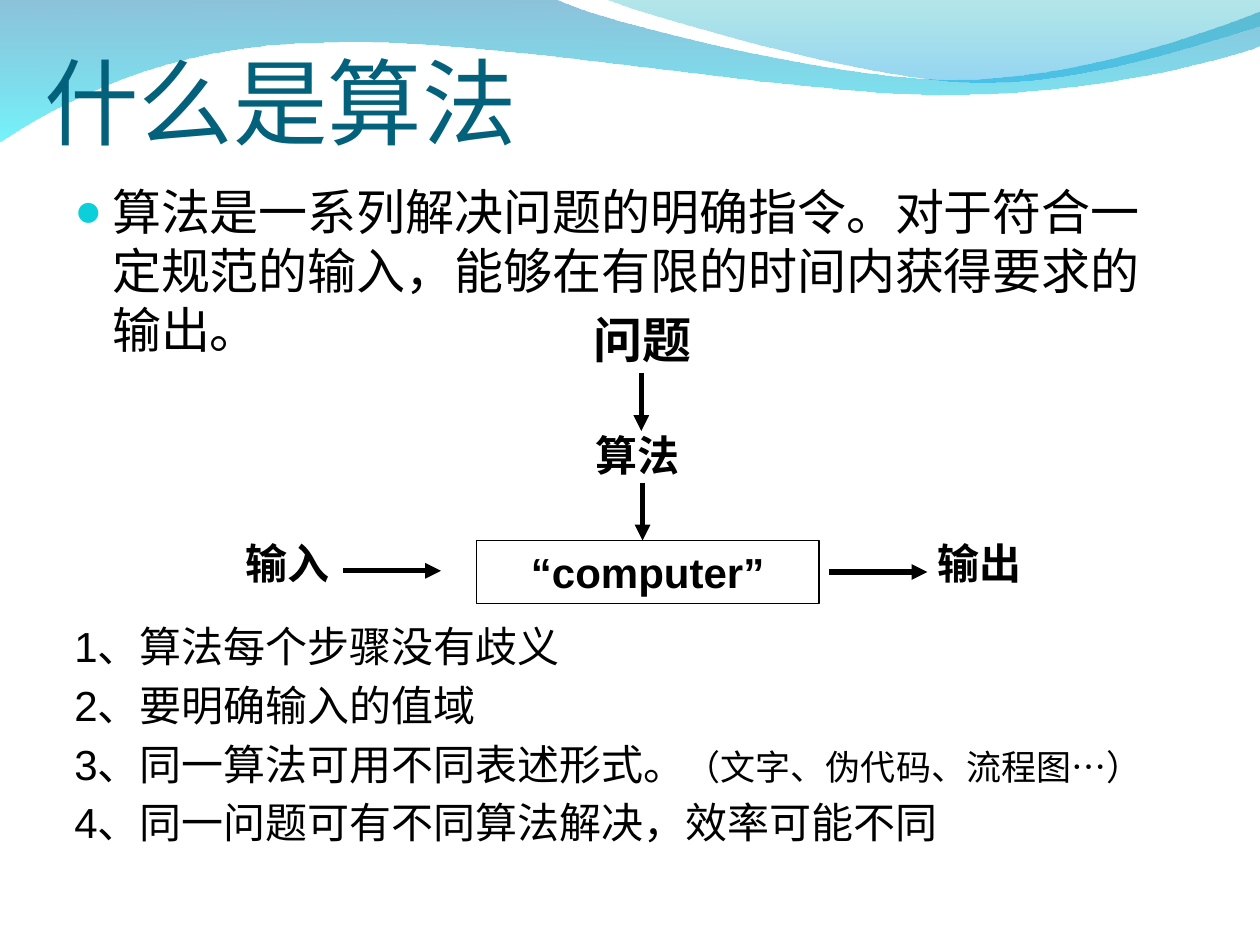
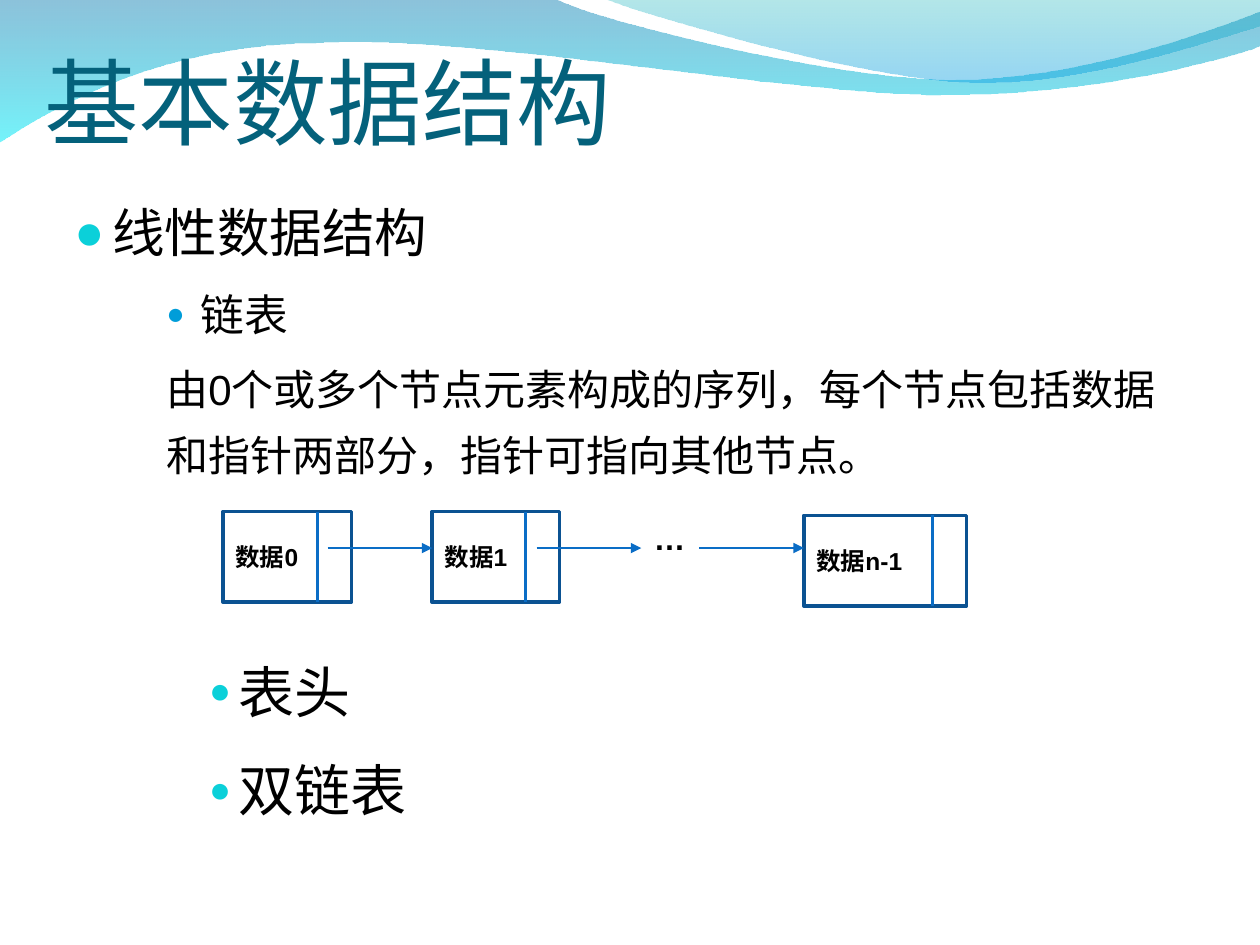
import pptx
import pptx.util
import pptx.dml.color
import pptx.enum.dml
import pptx.enum.shapes
import pptx.enum.text
import pptx.oxml.ns
from dataclasses import dataclass
from lxml import etree
from pptx.util import Inches, Pt


@dataclass(frozen=True)
class Theme:
    font: str = "Arial"
    title: str = "04617B"
    text: str = "000000"
    paper: str = "FFFFFF"
    bullet: str = "0BD0D9"
    sub_bullet: str = "009DD9"
    node_edge: str = "0B5292"
    link: str = "0A6DC6"
    title_size: int = 54
    item_size: int = 32
    topic_size: int = 30
    lead_size: int = 28
    subtopic_size: int = 25
    body_size: int = 24
    note_size: int = 20
    dots_size: int = 18
    node_size: int = 14


T = Theme()

# Start point, then segments: one point for a line, three for a curve.
# Gradient stops run from top to bottom as (colour, opacity %).
WAVES = [
    ((0, -0.01),
     [[(4.4, -0.01)],
      [(4.76, 0.17), (6.64, 0.63), (7.58, 0.63)],
      [(8.53, 0.63), (9.58, 0.26), (10, 0.09)],
      [(10.01, 0.36)],
      [(9.83, 0.44), (8.7, 0.76), (7.46, 0.75)],
      [(6.22, 0.75), (3.82, 0.28), (2.57, 0.34)],
      [(1.29, 0.35), (0.46, 0.83), (-0.01, 1.13)]],
     [("0079AF", 45), ("00EBF8", 55)]),
    ((4.79, -0.01),
     [[(5.09, 0.11), (6.82, 0.62), (7.69, 0.65)],
      [(8.56, 0.69), (9.61, 0.32), (10, 0.21)],
      [(10, 0)]],
     [("00ADB6", 30), ("009BE5", 42)]),
]

# Paragraphs: text or runs, size, and options
ALGORITHM_BODY = [
    ("算法是一系列解决问题的明确指令。对于符合一定规范的输入，能够在有限的时间内获得要求的输出。",
     T.lead_size, dict(bullet=(T.bullet, 95))),
    ("1、算法每个步骤没有歧义", T.body_size, dict(before=150)),
    ("2、要明确输入的值域", T.body_size, {}),
    ([("3、同一算法可用不同表述形式。", T.body_size), ("（文字、伪代码、流程图…）", T.note_size)],
     T.body_size, {}),
    ("4、同一问题可有不同算法解决，效率可能不同", T.body_size, {}),
]
FLOW_LABELS = [
    ("问题", 4.61, 2.41, 1.02, 0.57, T.lead_size),
    ("算法", 4.63, 3.36, 0.92, 0.5, T.body_size),
    ("输入", 1.85, 4.22, 0.89, 0.5, T.body_size),
    ("输出", 7.34, 4.22, 1.04, 0.5, T.body_size),
]
FLOW_ARROWS = [(5.09, 2.96, 5.09, 3.42), (5.1, 3.83, 5.1, 4.29),
               (2.72, 4.53, 3.5, 4.53), (6.58, 4.54, 7.36, 4.54)]

ITEM = dict(level=2, margin=1.3, indent=-0.23, bullet=(T.bullet, 65))
LIST_BODY = [
    ("线性数据结构", T.topic_size, dict(bullet=(T.bullet, 95))),
    ("链表", T.subtopic_size,
     dict(level=1, margin=1, indent=-0.27, bullet=(T.sub_bullet, 70))),
    ("由0个或多个节点元素构成的序列，每个节点包括数据和指针两部分，指针可指向其他节点。",
     T.body_size, dict(level=1, margin=0.73, indent=0)),
    ("表头", T.item_size, dict(ITEM, before=90)),
    ("双链表", T.item_size, ITEM),
]
NODES = [("数据0", 1.77, 4.06, 1.02), ("数据1", 3.43, 4.06, 1.01), ("数据n-1", 6.38, 4.09, 1.29)]
NODE_HEIGHT, POINTER_WIDTH = 0.72, 0.27
LINK_STARTS, LINK_LENGTH, LINK_Y = (2.6, 4.26, 5.55), 0.83, 4.35


def rgb(value):
    return pptx.dml.color.RGBColor.from_string(value)


def sub(parent, tag, **attrs):
    return etree.SubElement(parent, pptx.oxml.ns.qn(tag), attrs)


def style(font, size, color=T.text, bold=False):
    font.name, font.size, font.bold = T.font, Pt(size), bold
    font.color.rgb = rgb(color)


def place(sp, left, top, width, height):
    sp.left, sp.top, sp.width, sp.height = map(Inches, (left, top, width, height))


def bend(sp, segments):
    """Join the lines of each three-point segment into one Bezier curve."""
    lines = iter(sp._element.xpath(".//a:path/a:lnTo"))
    for segment in segments:
        group = [next(lines) for _ in segment]
        if len(group) == 3:
            curve = etree.Element(pptx.oxml.ns.qn("a:cubicBezTo"))
            group[0].addprevious(curve)
            for line in group:
                curve.append(line[0])
                line.getparent().remove(line)


def add_waves(prs, s):
    """Draw the top waves on a slide, then move them to the back of the master."""
    tree = prs.slide_master.shapes._spTree
    for index, (start, segments, stops) in enumerate(WAVES):
        builder = s.shapes.build_freeform(*map(Inches, start))
        builder.add_line_segments(
            [(Inches(x), Inches(y)) for segment in segments for x, y in segment], close=True)
        sp = builder.convert_to_shape()
        bend(sp, segments)
        sp.shadow.inherit = False
        sp.line.fill.background()
        sp.fill.gradient()
        sp.fill.gradient_angle = 270
        for stop, (color, opacity) in zip(sp.fill.gradient_stops, stops):
            stop.color.rgb = rgb(color)
            sub(stop._gs[0], "a:alpha", val=str(opacity * 1000))
        tree.insert(2 + index, sp._element)


def set_title(s, text):
    sp = s.shapes.title
    place(sp, 0.35, 0, 9, 1.25)
    tf = sp.text_frame
    tf.auto_size = pptx.enum.text.MSO_AUTO_SIZE.NONE
    tf.vertical_anchor = pptx.enum.text.MSO_ANCHOR.BOTTOM
    tf.margin_left = tf.margin_right = tf.margin_bottom = 0
    p = tf.paragraphs[0]
    p.text = text
    p.alignment = pptx.enum.text.PP_ALIGN.LEFT
    style(p.font, T.title_size, T.title)


def format_paragraph(p, size, line, level=0, margin=0.3, indent=-0.3, bullet=None, before=None):
    p.level = level
    pPr = p._p.get_or_add_pPr()
    pPr.set("marL", str(Inches(margin)))
    pPr.set("indent", str(Inches(indent)))
    if bullet:
        color, percent = bullet
        sub(sub(pPr, "a:buClr"), "a:srgbClr", val=color)
        sub(pPr, "a:buSzPct", val=str(percent * 1000))
        sub(pPr, "a:buChar", char="●")
    else:
        sub(pPr, "a:buNone")
    p.line_spacing = line
    p.space_before = Pt(0.2 * size if before is None else before)
    style(p.font, size)


def set_body(s, paragraphs, height, line=1.0):
    sp = s.placeholders[1]
    place(sp, 0.49, 1.39, 9, height)
    tf = sp.text_frame
    tf.auto_size = pptx.enum.text.MSO_AUTO_SIZE.NONE
    for i, (content, size, options) in enumerate(paragraphs):
        p = tf.add_paragraph() if i else tf.paragraphs[0]
        first = {} if i else {"before": 0}
        format_paragraph(p, size, line, **{**options, **first})
        if isinstance(content, str):
            p.text = content
        else:
            for text, run_size in content:
                r = p.add_run()
                r.text = text
                r.font.size = Pt(run_size)


def add_label(s, text, left, top, width, height, size):
    sp = s.shapes.add_textbox(*map(Inches, (left, top, width, height)))
    sp.text_frame.word_wrap = True
    p = sp.text_frame.paragraphs[0]
    p.text = text
    style(p.font, size, bold=True)


def add_box(s, text, left, top, width, height, size, edge, weight, fill=None, centred=False):
    sp = s.shapes.add_shape(pptx.enum.shapes.MSO_SHAPE.RECTANGLE,
                            *map(Inches, (left, top, width, height)))
    sp.shadow.inherit = False
    if fill:
        sp.fill.solid()
        sp.fill.fore_color.rgb = rgb(fill)
    else:
        sp.fill.background()
    sp.line.color.rgb = rgb(edge)
    sp.line.width = Pt(weight)
    tf = sp.text_frame
    tf.vertical_anchor = pptx.enum.text.MSO_ANCHOR.MIDDLE
    p = tf.paragraphs[0]
    p.text = text
    p.alignment = pptx.enum.text.PP_ALIGN.CENTER if centred else pptx.enum.text.PP_ALIGN.LEFT
    style(p.font, size, bold=True)


def add_line(s, x1, y1, x2, y2, color, weight, arrow=True):
    cx = s.shapes.add_connector(pptx.enum.shapes.MSO_CONNECTOR.STRAIGHT,
                                *map(Inches, (x1, y1, x2, y2)))
    cx.line.color.rgb = rgb(color)
    cx.line.width = Pt(weight)
    if arrow:
        sub(cx.line._get_or_add_ln(), "a:tailEnd", type="triangle")
    sub(cx._element.spPr, "a:effectLst")


def add_slide(prs, title):
    s = prs.slides.add_slide(prs.slide_layouts[1])
    set_title(s, title)
    return s


def algorithm_slide(prs):
    s = add_slide(prs, "什么是算法")
    set_body(s, ALGORITHM_BODY, 5.65)
    for label in FLOW_LABELS:
        add_label(s, *label)
    add_box(s, "“computer”", 3.78, 4.29, 2.72, 0.5, T.body_size, T.text, 0.75, centred=True)
    for arrow in FLOW_ARROWS:
        add_line(s, *arrow, T.text, 3)
    return s


def linked_list_slide(prs):
    s = add_slide(prs, "基本数据结构")
    set_body(s, LIST_BODY, 5.14, line=1.3)
    for text, left, top, width in NODES:
        add_box(s, text, left, top, width, NODE_HEIGHT, T.node_size, T.node_edge, 2, T.paper)
        divider = left + width - POINTER_WIDTH
        add_line(s, divider, top, divider, top + NODE_HEIGHT, T.link, 1.5, arrow=False)
    for x in LINK_STARTS:
        add_line(s, x, LINK_Y, x + LINK_LENGTH, LINK_Y, T.link, 0.75)
    add_label(s, "…", 5.09, 4.07, 0.55, 0.74, T.dots_size)


def main():
    prs = pptx.Presentation()
    prs.slide_width, prs.slide_height = Inches(10), Inches(7.5)
    add_waves(prs, algorithm_slide(prs))
    linked_list_slide(prs)
    prs.save("out.pptx")


if __name__ == "__main__":
    main()
